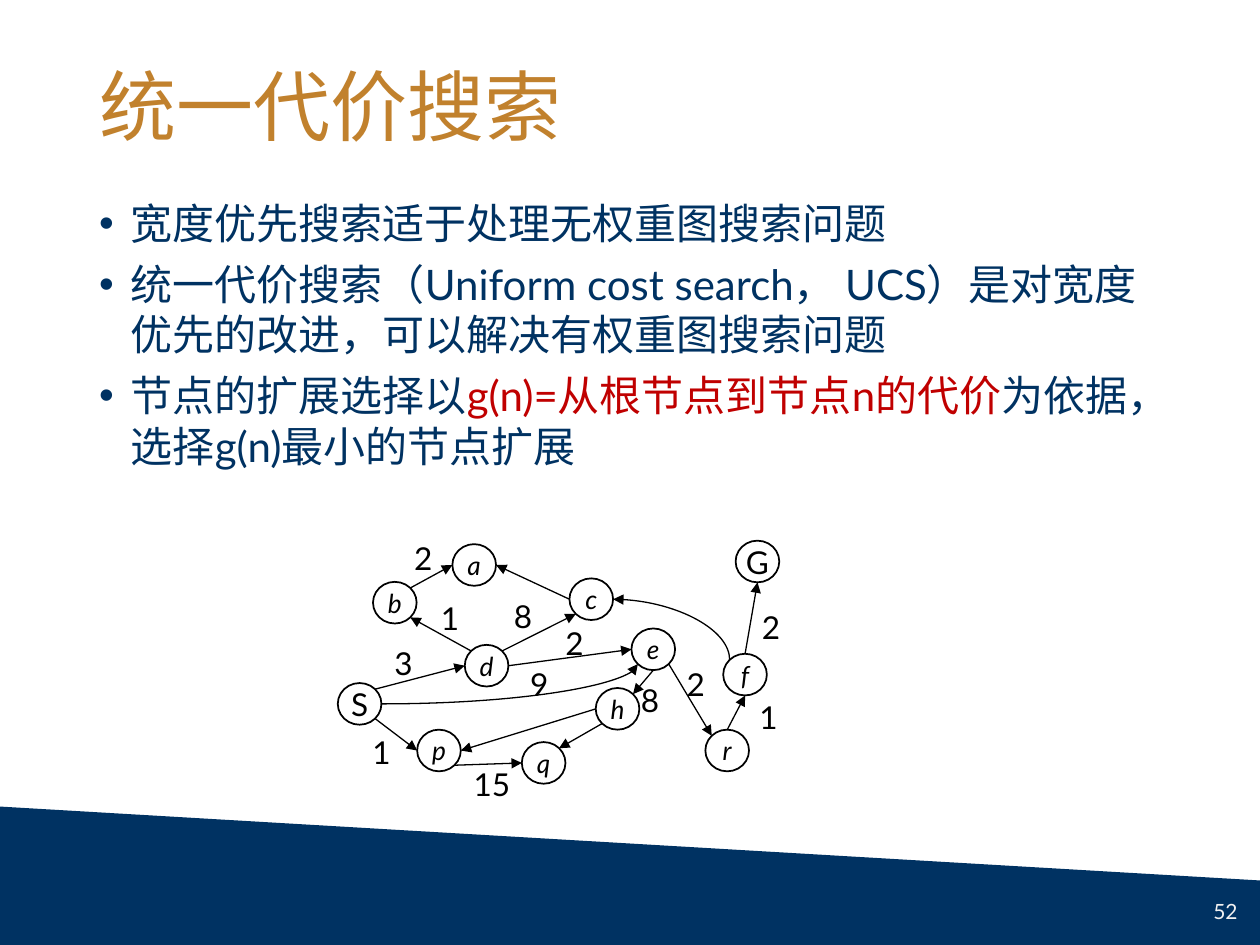
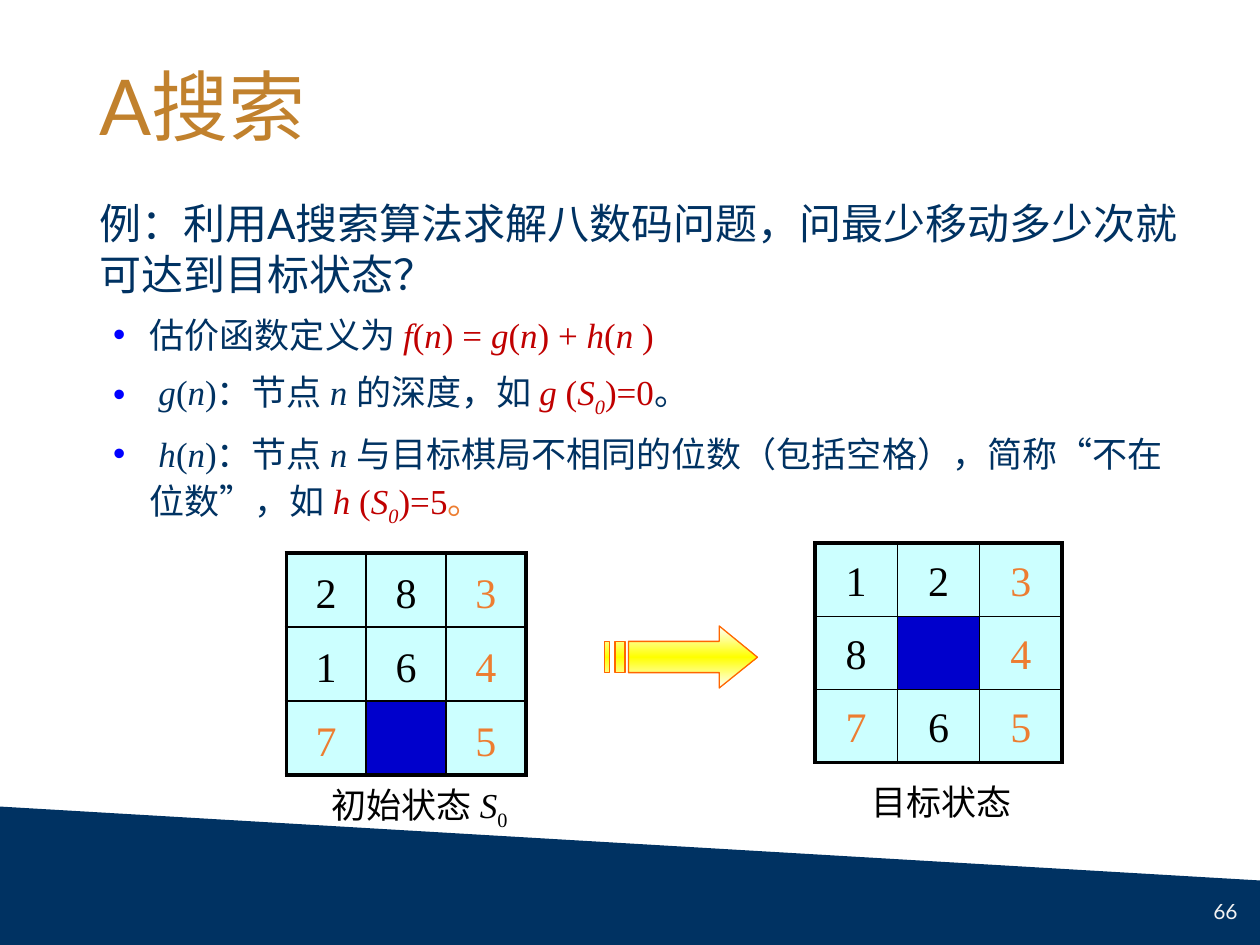
"""Build two slides on graph search: uniform cost search and A search."""
from math import copysign, sqrt

from lxml import etree
from pptx import Presentation
from pptx import util as u
from pptx.dml.color import RGBColor
from pptx.enum import shapes, text
from pptx.oxml.ns import qn

NAVY, GOLD, RED, ORANGE = "003262", "C1812D", "C00000", "ED7D31"
BLACK, PALE, CYAN, BLUE = "000000", "F2F2F2", "CCFFFF", "0000CC"
LATO, TIMES, ARIAL = "Lato", "Times New Roman", "Arial"

SLIDE_SIZE = (25.4, 19.05)
BAND = [(0, 16.26), (0, 19.05), (25.4, 19.05), (25.4, 17.75)]
TITLE_AT = (1.75, 1.02, 21.89, 2.41)
NUMBER_AT = (22.58, 17.86, 2.62, 1.02)

UCS_AT = (1.75, 3.86, 21.89, 11.73)
UCS_POINTS = [
    [("宽度优先搜索适于处理无权重图搜索问题", "")],
    [("统一代价搜索（Uniform cost search， UCS）是对宽度优先的改进，可以解决有权重图搜索问题", "")],
    [("节点的扩展选择以", ""), ("g(n)=从根节点到节点n的代价", "r"),
     ("为依据，选择g(n)最小的节点扩展", "")],
]

NODE_SIZE = (0.88, 0.84)
NODES = {
    "S": (6.81, 13.77), "G": (14.83, 10.9), "d": (9.37, 13.0), "b": (7.52, 11.73),
    "p": (8.41, 14.71), "q": (10.52, 14.96), "c": (11.48, 11.66), "e": (12.73, 12.67),
    "h": (12.01, 13.87), "a": (9.12, 10.97), "f": (14.58, 13.18), "r": (14.22, 14.71),
}
COMPASS = {"N": (0, -1), "NE": (1, -1), "E": (1, 0), "SE": (1, 1),
           "S": (0, 1), "SW": (-1, 1), "W": (-1, 0), "NW": (-1, -1)}
EDGES = [
    ("S", "SE", "p", "W"), ("p", "SE", "q", "W"), ("h", "SW", "q", "NE"),
    ("h", "W", "p", "E"), ("e", "S", "h", "NE"), ("e", "SE", "r", "NW"),
    ("r", "N", "f", "S"), ("f", "N", "G", "S"), ("S", "NE", "d", "W"),
    ("d", "NW", "b", "SE"), ("b", "NE", "a", "W"), ("c", "W", "a", "E"),
    ("d", "NE", "c", "SW"), ("d", "E", "e", "W"),
]
CURVES = [("c", "E", "f", "NW", "headEnd"), ("S", "E", "e", "SW", "tailEnd")]
COST_SIZE = (1.5, 1.02)
COSTS = [
    ("3", 7.7, 12.85), ("9", 10.44, 13.28), ("1", 7.26, 14.66), ("1", 8.64, 11.96),
    ("2", 8.1, 10.74), ("8", 10.11, 11.91), ("8", 12.67, 13.61), ("2", 13.59, 13.28),
    ("15", 9.3, 15.29), ("1", 15.06, 13.94), ("2", 15.11, 12.14), ("2", 11.15, 12.45),
]

A_AT = (1.75, 3.86, 22.61, 11.73)
A_QUESTION = [("例：利用A搜索算法求解八数码问题，问最少移动多少次就可达到目标状态？", "")]
A_POINTS = [
    [("估价函数定义为 ", ""), ("f", "ri"), ("(", "r"), ("n", "ri"), (") = ", "r"),
     ("g", "ri"), ("(", "r"), ("n", "ri"), (") + ", "r"), ("h", "ri"), ("(", "r"),
     ("n ", "ri"), (")", "r")],
    [(" g", "i"), ("(", ""), ("n", "i"), (")：节点 ", ""), ("n ", "i"), ("的深度，如 ", ""),
     ("g ", "ri"), ("(", "r"), ("S", "ri"), ("0", "ris"), (")=0", "r"), ("。", "")],
    [(" h", "i"), ("(", ""), ("n", "i"), (")：节点 ", ""), ("n ", "i"),
     ("与目标棋局不相同的位数（包括空格），简称“不在位数”，如 ", ""),
     ("h ", "ri"), ("(", "r"), ("S", "ri"), ("0", "ris"), (")=5", "r"), ("。", "o")],
]

START = ["283", "164", "7 5"]
GOAL = ["123", "8 4", "765"]
BOARDS = [
    (START, (5.77, 11.15, 4.83, 4.47), text.MSO_ANCHOR.MIDDLE),
    (GOAL, (16.43, 10.95, 4.98, 4.42), text.MSO_ANCHOR.TOP),
]
CAPTIONS = [
    ((5.77, 15.67, 5.38, 1.12), [("初始状态 ", ""), ("S", "it"), ("0", "ts")]),
    ((16.69, 15.6, 4.6, 1.12), [("目标状态", "")]),
]
ARROW = [
    [(14.5, 12.62), (14.5, 12.93), (12.67, 12.93), (12.67, 13.56),
     (14.5, 13.56), (14.5, 13.87), (15.27, 13.25)],
    [(12.4, 12.93), (12.4, 13.56), (12.6, 13.56), (12.6, 12.93)],
    [(12.19, 12.93), (12.19, 13.56), (12.29, 13.56), (12.29, 12.93)],
]
ARROW_STOPS = [(0, "FFFFFF"), (50, "FFFF00"), (100, "FFFFFF")]


def color(value):
    return RGBColor.from_string(value)


def cms(values):
    return [u.Cm(value) for value in values]


def assign(target, **values):
    for name, value in values.items():
        setattr(target, name, value)


def sub(parent, tag, **attributes):
    return etree.SubElement(parent, qn(tag), attributes)


def add_spans(para, spans, size, font, ink):
    """Write runs; flags are i italic, r red, o orange, t Times, s subscript."""
    for words, flags in spans:
        span = para.add_run()
        span.text = words
        assign(span.font, size=u.Pt(size), name=TIMES if "t" in flags else font,
               italic="i" in flags)
        span.font.color.rgb = color(RED if "r" in flags else ORANGE if "o" in flags else ink)
        if "s" in flags:
            span._r.get_or_add_rPr().set("baseline", "-25000")


def add_bullet(para, margin, hang, ink):
    properties = para._p.get_or_add_pPr()
    properties.set("marL", str(u.Cm(margin)))
    properties.set("indent", str(-u.Cm(hang)))
    sub(sub(properties, "a:buClr"), "a:srgbClr", val=ink)
    sub(properties, "a:buFont", typeface=ARIAL)
    sub(properties, "a:buChar", char="•")


def add_text(page, place, spans, size, font=LATO, ink=BLACK, align=None, anchor=None):
    frame = page.shapes.add_textbox(*cms(place)).text_frame
    assign(frame, word_wrap=True, vertical_anchor=anchor)
    frame.paragraphs[0].alignment = align
    add_spans(frame.paragraphs[0], spans, size, font, ink)
    return frame


def add_outline(page, contours, line=None):
    first, *rest = [[cms(point) for point in contour] for contour in contours]
    builder = page.shapes.build_freeform(*first[0])
    builder.add_line_segments(first[1:])
    for contour in rest:
        builder.move_to(*contour[0])
        builder.add_line_segments(contour[1:])
    shape = builder.convert_to_shape()
    shape.shadow.inherit = False
    if line:
        shape.line.color.rgb = color(line)
        shape.line.width = u.Pt(0.75)
    else:
        shape.line.fill.background()
    return shape


def add_page(deck, title, number):
    page = deck.slides.add_slide(deck.slide_layouts[5])
    band = add_outline(page, [BAND])
    band.fill.solid()
    band.fill.fore_color.rgb = color(NAVY)
    heading = page.shapes.title
    assign(heading, **dict(zip(("left", "top", "width", "height"), cms(TITLE_AT))))
    assign(heading.text_frame, vertical_anchor=text.MSO_ANCHOR.MIDDLE, word_wrap=True)
    para = heading.text_frame.paragraphs[0]
    assign(para, alignment=text.PP_ALIGN.LEFT, line_spacing=0.9)
    add_spans(para, [(title, "")], 44, LATO, GOLD)
    add_text(page, NUMBER_AT, [(number, "")], 12, ink=PALE,
             align=text.PP_ALIGN.RIGHT, anchor=text.MSO_ANCHOR.MIDDLE)
    return page


def add_node(page, name):
    node = page.shapes.add_shape(shapes.MSO_SHAPE.FLOWCHART_CONNECTOR,
                                 *cms(NODES[name] + NODE_SIZE))
    node.shadow.inherit = False
    node.fill.background()
    node.line.color.rgb = color(BLACK)
    node.line.width = u.Pt(1)
    frame = node.text_frame
    assign(frame, word_wrap=False, vertical_anchor=text.MSO_ANCHOR.MIDDLE,
           margin_left=0, margin_right=0, margin_top=0, margin_bottom=0)
    frame.paragraphs[0].alignment = text.PP_ALIGN.CENTER
    state = name.isupper()
    add_spans(frame.paragraphs[0], [(name, "" if state else "i")],
              18 if state else 15, LATO, BLACK)


def rim(name, side):
    """Give the point on a node's rim in a compass direction."""
    across, down = COMPASS[side]
    reach = sqrt(across ** 2 + down ** 2)
    (left, top), (width, height) = NODES[name], NODE_SIZE
    return left + width / 2 * (1 + across / reach), top + height / 2 * (1 + down / reach)


def add_edge(page, source, leave, target, arrive, end="tailEnd", curved=False):
    kind = shapes.MSO_CONNECTOR.CURVE if curved else shapes.MSO_CONNECTOR.STRAIGHT
    edge = page.shapes.add_connector(kind, *cms(rim(source, leave) + rim(target, arrive)))
    edge.line.color.rgb = color(BLACK)
    edge.line.width = u.Pt(0.75)
    properties = edge._element.spPr
    if curved:
        properties.find(qn("a:prstGeom")).set("prst", "curvedConnector2")
    sub(properties.find(qn("a:ln")), "a:" + end, type="triangle")
    sub(properties, "a:effectLst")


def add_border(cell, row, column):
    """Draw thick outer and thin inner cell sides."""
    properties = cell._tc.get_or_add_tcPr()
    outer = {"L": column == 0, "R": column == 2, "T": row == 0, "B": row == 2}
    for side, thick in outer.items():
        line = sub(properties, "a:ln" + side, w=str(u.Pt(2.25 if thick else 1)))
        sub(sub(line, "a:solidFill"), "a:srgbClr", val=BLACK)


def add_board(page, rows, place, anchor):
    board = page.shapes.add_table(3, 3, *cms(place)).table
    assign(board, first_row=False, horz_banding=False)
    for row, digits in enumerate(rows):
        for column, digit in enumerate(digits):
            cell = board.cell(row, column)
            add_border(cell, row, column)
            cell.fill.solid()
            cell.fill.fore_color.rgb = color(BLUE if digit == " " else CYAN)
            cell.vertical_anchor = anchor
            if digit != " ":
                para = cell.text_frame.paragraphs[0]
                assign(para, alignment=text.PP_ALIGN.CENTER, line_spacing=1.2)
                settled = START[row][column] == GOAL[row][column]
                add_spans(para, [(digit, "o" if settled else "")], 24, TIMES, BLACK)


def add_move_arrow(page):
    arrow = add_outline(page, ARROW, "FF6600")
    gradient = etree.Element(qn("a:gradFill"), rotWithShape="1")
    stops = sub(gradient, "a:gsLst")
    for percent, ink in ARROW_STOPS:
        sub(sub(stops, "a:gs", pos=str(percent * 1000)), "a:srgbClr", val=ink)
    sub(gradient, "a:lin", ang="5400000", scaled="0")
    arrow._element.spPr.find(qn("a:custGeom")).addnext(gradient)


def build_ucs(deck):
    page = add_page(deck, "统一代价搜索", "52")
    frame = add_text(page, UCS_AT, [], 24)
    for index, spans in enumerate(UCS_POINTS):
        para = frame.add_paragraph() if index else frame.paragraphs[0]
        add_bullet(para, 0.64, 0.64, NAVY)
        para.space_before = u.Pt(6 if index else 0)
        add_spans(para, spans, 24, LATO, NAVY)
    for name in NODES:
        add_node(page, name)
    for edge in EDGES:
        add_edge(page, *edge)
    for curve in CURVES:
        add_edge(page, *curve, curved=True)
    for cost, left, top in COSTS:
        add_text(page, (left, top) + COST_SIZE, [(cost, "")], 18)


def build_a_search(deck):
    page = add_page(deck, "A搜索", "66")
    frame = add_text(page, A_AT, A_QUESTION, 24, ink=NAVY)
    for spans in A_POINTS:
        para = frame.add_paragraph()
        add_bullet(para, 1.02, 0.74, "0000FF")
        assign(para, line_spacing=1.1, space_before=u.Pt(6))
        add_spans(para, spans, 20, TIMES, NAVY)
    for board in BOARDS:
        add_board(page, *board)
    add_move_arrow(page)
    for place, spans in CAPTIONS:
        add_text(page, place, spans, 20, ARIAL, align=text.PP_ALIGN.CENTER)


def main():
    deck = Presentation()
    deck.slide_width, deck.slide_height = cms(SLIDE_SIZE)
    build_ucs(deck)
    build_a_search(deck)
    deck.save("out.pptx")


if __name__ == "__main__":
    main()
